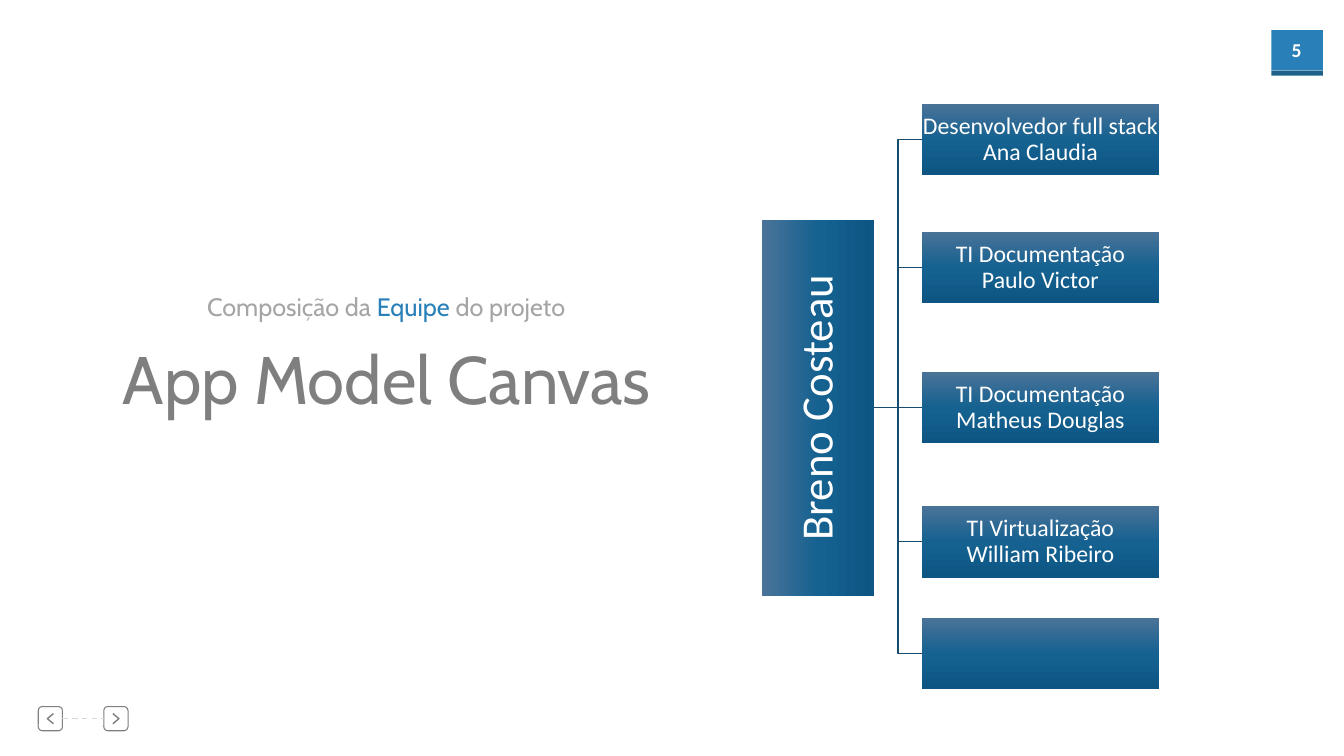
import copy
import pptx
import pptx.util
import pptx.dml.color
import pptx.enum.dml
import pptx.enum.shapes
import pptx.enum.text
import pptx.oxml
import pptx.oxml.ns

Inches, Pt = pptx.util.Inches, pptx.util.Pt
RGB = pptx.dml.color.RGBColor
KIND = pptx.enum.shapes.MSO_SHAPE
LINK = pptx.enum.shapes.MSO_CONNECTOR
ANCHOR = pptx.enum.text.MSO_ANCHOR
CENTER = pptx.enum.text.PP_ALIGN.CENTER

TITLE = "App Model Canvas"
INTRO = ["Composição da ", "Equipe ", "do projeto"]
PAGE = "5"
LEAD = "Breno Costeau"
ROLES = [  # top of the box, lines of text
    (1.03, ["Desenvolvedor full stack", "Ana Claudia"]),
    (2.3, ["TI Documentação", "Paulo Victor"]),
    (3.69, ["TI Documentação", "Matheus Douglas"]),
    (5.02, ["TI Virtualização", "William Ribeiro"]),
    (6.13, []),
]

WHITE = RGB(0xFF, 0xFF, 0xFF)
BLUE = RGB(0x29, 0x80, 0xB9)
NAVY = RGB(0x1E, 0x60, 0x8A)
WIRE = RGB(0x16, 0x4C, 0x6E)
GREY = RGB(0x7F, 0x7F, 0x7F)
SOFT = RGB(0xA5, 0xA5, 0xA5)
PALE = RGB(0xD8, 0xD8, 0xD8)
SHADES = [RGB(0x4A, 0x73, 0x98), RGB(0x15, 0x61, 0x90), RGB(0x0D, 0x56, 0x84)]

WIDE, HIGH = 13.33, 7.5
ROLE_X, ROLE_W, ROLE_H = 9.14, 2.36, 0.71
LEAD_W, LEAD_H = 1.11, 3.73
LEAD_X = 7.56
LEAD_Y = ROLES[2][0] + (ROLE_H - LEAD_H) / 2
TAB_X, TAB_W = 12.61, 0.51
NAV_Y, NAV_SIZE = 7.01, 0.24
NAV_X = [0.38, 1.03]

deck = pptx.Presentation()
deck.slide_width, deck.slide_height = Inches(WIDE), Inches(HIGH)
slide = deck.slides.add_slide(deck.slide_layouts[5])
shapes = slide.shapes


def add_box(x, y, w, h, fill=None, kind=KIND.RECTANGLE):
    box = shapes.add_shape(kind, Inches(x), Inches(y), Inches(w), Inches(h))
    box.shadow.inherit = False
    box.line.fill.background()
    if fill is None:
        box.fill.background()
    else:
        box.fill.solid()
        box.fill.fore_color.rgb = fill
    return box


def shade(box, angle):
    """Fill a box with the three blue shades."""
    box.fill.gradient()
    box.fill.gradient_angle = angle
    first = box.element.spPr.find(".//" + pptx.oxml.ns.qn("a:gs"))
    first.addnext(copy.deepcopy(first))
    for num, (stop, color) in enumerate(zip(box.fill.gradient_stops, SHADES)):
        stop.position = num / 2
        stop.color.rgb = color


def write(shape, lines, size, color, face="Calibri", inset=(0.1, 0.05),
          space=None, bold=False, anchor=ANCHOR.MIDDLE):
    """Set centred lines; a line is a list of runs or one string."""
    frame = shape.text_frame
    frame.word_wrap = True
    frame.auto_size = pptx.enum.text.MSO_AUTO_SIZE.NONE
    frame.vertical_anchor = anchor
    frame.margin_left = frame.margin_right = Inches(inset[0])
    frame.margin_top = frame.margin_bottom = Inches(inset[1])
    for num, line in enumerate(lines):
        para = frame.add_paragraph() if num else frame.paragraphs[0]
        for text in [line] if isinstance(line, str) else line:
            para.add_run().text = text
        para.alignment = CENTER
        para.line_spacing = space
        font = para.font
        font.name, font.size, font.bold = face, Pt(size), bold
        font.color.rgb = color


def add_link(kind, color, start=(0, 0), end=(0, 0)):
    link = shapes.add_connector(kind, *map(Inches, start + end))
    link.line.color.rgb = color
    link.line.width = Pt(1)
    link.element.spPr.append(pptx.oxml.parse_xml(
        "<a:effectLst %s/>" % pptx.oxml.ns.nsdecls("a")))
    return link


# Page tab
add_box(TAB_X, 0.3, TAB_W, 0.4, BLUE)
add_box(TAB_X, 0.7, TAB_W, 0.05, NAVY)
page = shapes.add_textbox(Inches(12.64), Inches(0.33), Inches(0.44), Inches(0.34))
write(page, [PAGE], 14, WHITE, bold=True, anchor=ANCHOR.TOP)

# Back and next buttons
mid = NAV_Y + NAV_SIZE / 2
for x, turn in zip(NAV_X, (-1, 1)):
    button = add_box(x, NAV_Y, NAV_SIZE, NAV_SIZE, kind=KIND.ROUNDED_RECTANGLE)
    button.line.color.rgb = GREY
    button.line.width = Pt(0.75)
    hub = x + NAV_SIZE / 2
    tail, tip = hub - turn * 0.03, hub + turn * 0.03
    pen = shapes.build_freeform(Inches(tail), Inches(mid - 0.05))
    pen.add_line_segments([(Inches(tip), Inches(mid)),
                           (Inches(tail), Inches(mid + 0.05))], close=False)
    arrow = pen.convert_to_shape()
    arrow.shadow.inherit = False
    arrow.fill.background()
    arrow.line.color.rgb = GREY
    arrow.line.width = Pt(1)
dash = add_link(LINK.STRAIGHT, PALE, (NAV_X[0] + NAV_SIZE, mid), (NAV_X[1], mid))
dash.line.dash_style = pptx.enum.dml.MSO_LINE.DASH

# Team chart
lead = add_box(LEAD_X, LEAD_Y, LEAD_W, LEAD_H)
shade(lead, 0)
write(lead, [LEAD], 32, WHITE, inset=(0.02, 0.02), space=0.9)
lead.text_frame._txBody.bodyPr.set("vert", "vert270")
for num, (top, lines) in enumerate(ROLES):
    role = add_box(ROLE_X, top, ROLE_W, ROLE_H)
    shade(role, 270)
    write(role, lines, 17, WHITE, inset=(0.01, 0.01), space=0.9)
    link = add_link(LINK.STRAIGHT if num == 2 else LINK.ELBOW, WIRE)
    link.begin_connect(lead, 3)
    link.end_connect(role, 1)

# Headline
title = shapes.title
title.left, title.top = Inches(0.56), Inches(3.3)
title.width, title.height = Inches(6.55), Inches(0.91)
write(title, [TITLE], 48, GREY, "Cabin", anchor=ANCHOR.TOP)
intro = shapes.add_textbox(Inches(1.52), Inches(2.84), Inches(4.62), Inches(0.45))
write(intro, [INTRO], 18, SOFT, "Cabin", anchor=ANCHOR.TOP)
intro.text_frame.paragraphs[0].runs[1].font.color.rgb = BLUE

deck.save("out.pptx")
